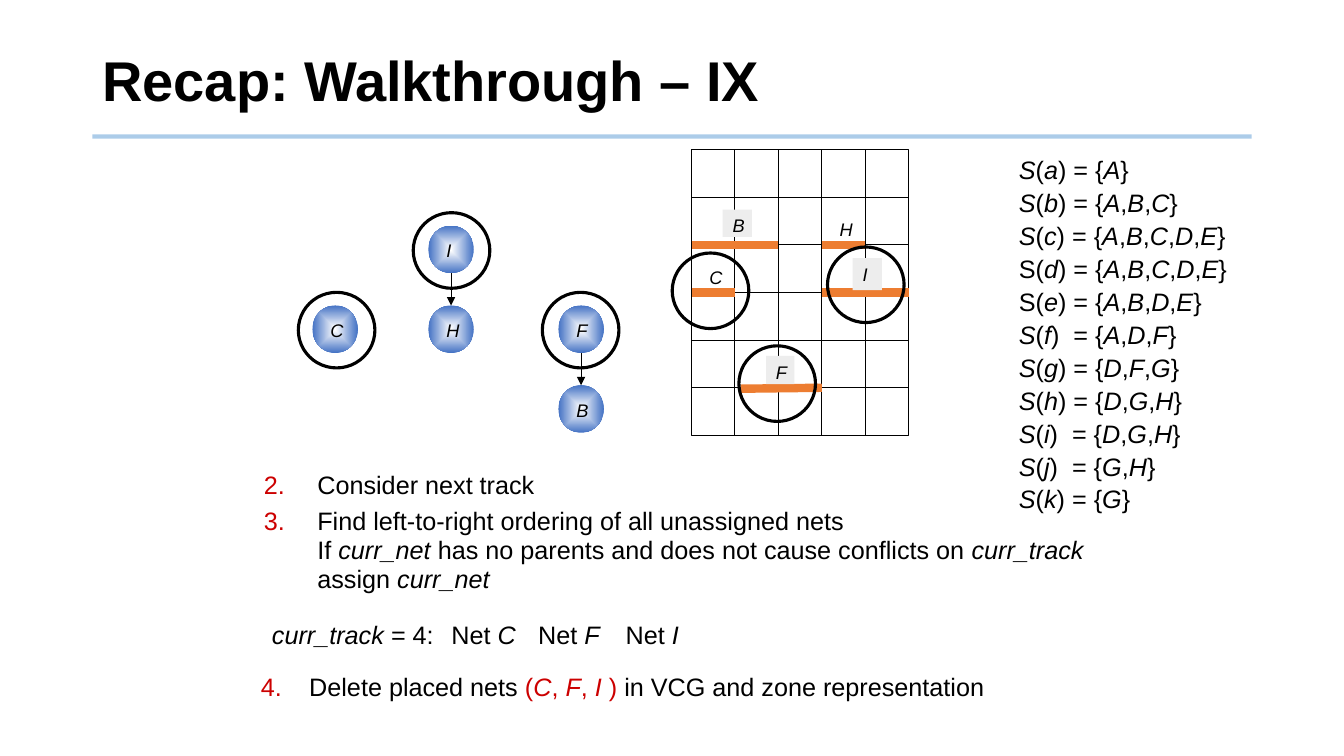
from lxml import etree
from pptx import Presentation
from pptx.dml.color import RGBColor
from pptx.enum.shapes import MSO_CONNECTOR, MSO_SHAPE
from pptx.enum.text import MSO_ANCHOR, PP_ALIGN
from pptx.oxml.ns import qn
from pptx.util import Pt

STRAIGHT = MSO_CONNECTOR.STRAIGHT
RECT, OVAL = MSO_SHAPE.RECTANGLE, MSO_SHAPE.OVAL
TOP, MIDDLE = MSO_ANCHOR.TOP, MSO_ANCHOR.MIDDLE
LEFT = PP_ALIGN.LEFT
LEFT_SIDE, RIGHT_SIDE = 1, 3

COLORS = {"ink": "000000", "red": "CC0000", "rule": "5B9BD5", "node": "4472C4",
          "white": "FFFFFF", "net": "ED7D31", "label": "EDEDED", "badge": "EDD1D1"}

# Content: *...* is italic, |...| is red
TITLE = "Recap: Walkthrough – IX"
ZONES = {"a": "A", "b": "ABC", "c": "ABCDE", "d": "ABCDE", "e": "ABDE", "f": "ADF",
         "g": "DFG", "h": "DGH", "i": "DGH", "j": "GH", "k": "G"}
UPRIGHT_ZONES, WIDE_ZONES = "de", "fij"
STEPS = [
    (2, "Consider next track"),
    (3, "Find left-to-right ordering of all unassigned nets\n"
        "If *curr_net *has no parents and does not cause conflicts on *curr_track*\n"
        "assign *curr_net*"),
]
DELETE_STEP = (4, "Delete placed nets |(*C*, *F*, *I *)| in VCG and zone representation")
BADGES = [("*curr_track* = 4:", 187.2, 130.3), ("Net *C*", 315.4, 60.5),
          ("Net *F*", 377.3, 58.3), ("Net *I*", 439.9, 52.6)]

# Constraint graph: net -> (left, level)
NODES = {"C": (223.2, 1), "B": (398.9, 2), "F": (398.9, 1), "H": (306, 1), "I": (306, 0)}
PARENTS = [("I", "H"), ("F", "B")]
NODE_W, NODE_H, LEVEL_TOP, LEVEL_STEP = 32.4, 33.9, 161.2, 57

# Track grid; each net runs (start column, end column, start row, end row)
GRID_X, GRID_Y, COL_W, ROW_H, COLS, ROWS = 494, 107, 31, 34, 5, 6
NET_TRACKS = [(0, 2, 2, 2), (3, 4, 2, 2), (0, 1, 3, 3), (3, 5, 3, 3), (1.13, 3, 5.02, 5)]
NET_LABELS = [("H", None, 592.6, 152.6, 20.9, 23), ("C", None, 499.7, 186.5, 20.9, 23),
              ("I", "label", 609.1, 184.3, 20.9, 23), ("F", "label", 547.2, 254.2, 20.2, 20.2),
              ("B", "label", 516.2, 149.8, 20.9, 19.4)]
RINGS = [(213.1, 208.8), (480.2, 180.7), (387.4, 208.8),
         (527.8, 247), (295.2, 151.9), (591.1, 176.4)]
RING_W, RING_H = 54.7, 54

prs = Presentation()
prs.slide_width, prs.slide_height = Pt(960), Pt(540)
slide = prs.slides.add_slide(prs.slide_layouts[6])
shapes = slide.shapes


def rgb(name):
    return RGBColor.from_string(COLORS[name])


def apply(target, values):
    for key, value in values.items():
        setattr(target, key, value)


def add_shape(kind, left, top, width, height, fill=None, outline=None):
    shape = shapes.add_shape(kind, Pt(left), Pt(top), Pt(width), Pt(height))
    shape.shadow.inherit = False
    if fill:
        shape.fill.solid()
        shape.fill.fore_color.rgb = rgb(fill)
    else:
        shape.fill.background()
    if outline:
        shape.line.color.rgb = rgb("ink")
        shape.line.width = Pt(outline)
    else:
        shape.line.fill.background()
    return shape


def add_line(x1, y1, x2, y2, color="ink", width=0.75):
    line = shapes.add_connector(STRAIGHT, Pt(x1), Pt(y1), Pt(x2), Pt(y2))
    line.line.color.rgb = rgb(color)
    line.line.width = Pt(width)
    etree.SubElement(line._element.spPr, qn("a:effectLst"))
    return line


def write_runs(paragraph, text, size, bold):
    for i, part in enumerate(text.split("|")):
        for j, piece in enumerate(part.split("*")):
            for k, words in enumerate(piece.split("\n")):
                if k:
                    paragraph.add_line_break()
                if words:
                    run = paragraph.add_run()
                    run.text = words
                    apply(run.font, {"name": "Arial", "size": Pt(size), "bold": bold,
                                     "italic": j % 2 == 1})
                    run.font.color.rgb = rgb("red" if i % 2 else "ink")


def number(paragraph, start, margin, indent):
    props = paragraph._p.get_or_add_pPr()
    props.set("marL", str(Pt(margin)))
    props.set("indent", str(Pt(indent)))
    color = etree.SubElement(props, qn("a:buClr"))
    etree.SubElement(color, qn("a:srgbClr"), val=COLORS["red"])
    etree.SubElement(props, qn("a:buAutoNum"), type="arabicPeriod", startAt=str(start))


def write(shape, lines, size=18, bold=False, spacing=None, numbering=None,
          gap=0, **frame_format):
    """Fill a shape; numbered lines are (number, text) pairs."""
    frame = shape.text_frame
    apply(frame, {"word_wrap": True, "vertical_anchor": TOP, "margin_left": Pt(7.2),
                  "margin_right": Pt(7.2), "margin_top": Pt(3.6),
                  "margin_bottom": Pt(0), **frame_format})
    for index, line in enumerate(lines):
        paragraph = frame.add_paragraph() if index else frame.paragraphs[0]
        if numbering:
            start, line = line
            number(paragraph, start, *numbering)
        paragraph.alignment = LEFT
        if spacing:
            paragraph.line_spacing = spacing
        if index and gap:
            paragraph.space_before = Pt(gap)
        write_runs(paragraph, line, size, bold)


def add_text(left, top, width, height, lines, **text_format):
    box = shapes.add_textbox(Pt(left), Pt(top), Pt(width), Pt(height))
    write(box, lines, **text_format)


# Title and rule
rule = add_line(66, 97.5, 894, 97.5, "rule", 3)
rule_color = rule._element.spPr.find(".//" + qn("a:srgbClr"))
etree.SubElement(rule_color, qn("a:alpha"), val="50000")
add_text(66, 20, 828, 79, [TITLE], size=40, bold=True, spacing=0.9,
         vertical_anchor=MIDDLE, margin_bottom=Pt(3.6))

# Constraint graph
for net, (left, level) in NODES.items():
    top = LEVEL_TOP + level * LEVEL_STEP
    node = add_shape(OVAL, left, top, NODE_W, NODE_H)
    node.fill.gradient()
    for stop, color in zip(node.fill.gradient_stops, ("white", "node")):
        stop.color.rgb = rgb(color)
    gradient = node._element.spPr.find(qn("a:gradFill"))
    gradient.remove(gradient.find(qn("a:lin")))
    center = etree.SubElement(gradient, qn("a:path"), path="shape")
    etree.SubElement(center, qn("a:fillToRect"), l="50000", t="50000", r="50000", b="50000")
    add_text(left + 5.8, top + 6.5, 31, 23, [f"*{net}*"], size=13)
for parent, child in PARENTS:
    x = NODES[parent][0] + NODE_W / 2
    y = LEVEL_TOP + NODES[parent][1] * LEVEL_STEP
    arrow = add_line(x, y + NODE_H, x, y + LEVEL_STEP)
    etree.SubElement(arrow.line._get_or_add_ln(), qn("a:tailEnd"), type="triangle")

# Track grid
grid = add_shape(RECT, GRID_X, GRID_Y, COLS * COL_W, ROWS * ROW_H, outline=0.75)


def add_grid_line(col1, col2, row1, row2, **look):
    line = add_line(GRID_X + col1 * COL_W, GRID_Y + row1 * ROW_H,
                    GRID_X + col2 * COL_W, GRID_Y + row2 * ROW_H, **look)
    if row1 == row2 == ROWS / 2:
        if col1 == 0:
            line.begin_connect(grid, LEFT_SIDE)
        if col2 == COLS:
            line.end_connect(grid, RIGHT_SIDE)


for col in range(1, COLS):
    add_grid_line(col, col, 0, ROWS)
for row in range(1, ROWS):
    add_grid_line(0, COLS, row, row)
for track in NET_TRACKS:
    add_grid_line(*track, color="net", width=6)
for net, fill, *place in NET_LABELS:
    write(add_shape(RECT, *place, fill=fill), [f"*{net}*"], size=13)

# Nets placed on the current track
for text, left, width in BADGES:
    write(add_shape(RECT, left, 438.5, width, 29), [text], word_wrap=False)
for left, top in RINGS:
    add_shape(OVAL, left, top, RING_W, RING_H, outline=2.25)

# Steps
add_text(181.4, 333.4, 622.8, 96.5, STEPS, spacing=0.95, gap=5.4, numbering=(38.2, -38.2))
add_text(145.4, 479.5, 658.8, 25.2, [DELETE_STEP], spacing=0.85, numbering=(68.4, -34.6))

# Zone sets
zone_lines = []
for zone, nets in ZONES.items():
    head = "S" if zone in UPRIGHT_ZONES else "*S*"
    equals = ")  = {" if zone in WIDE_ZONES else ") = {"
    members = ",".join(f"*{net}*" for net in nets)
    zone_lines.append(f"{head}(*{zone}*{equals}{members}}}")
add_text(712.8, 105.1, 181.4, 267, zone_lines, spacing=Pt(23.5), margin_left=Pt(15))

prs.save("out.pptx")
